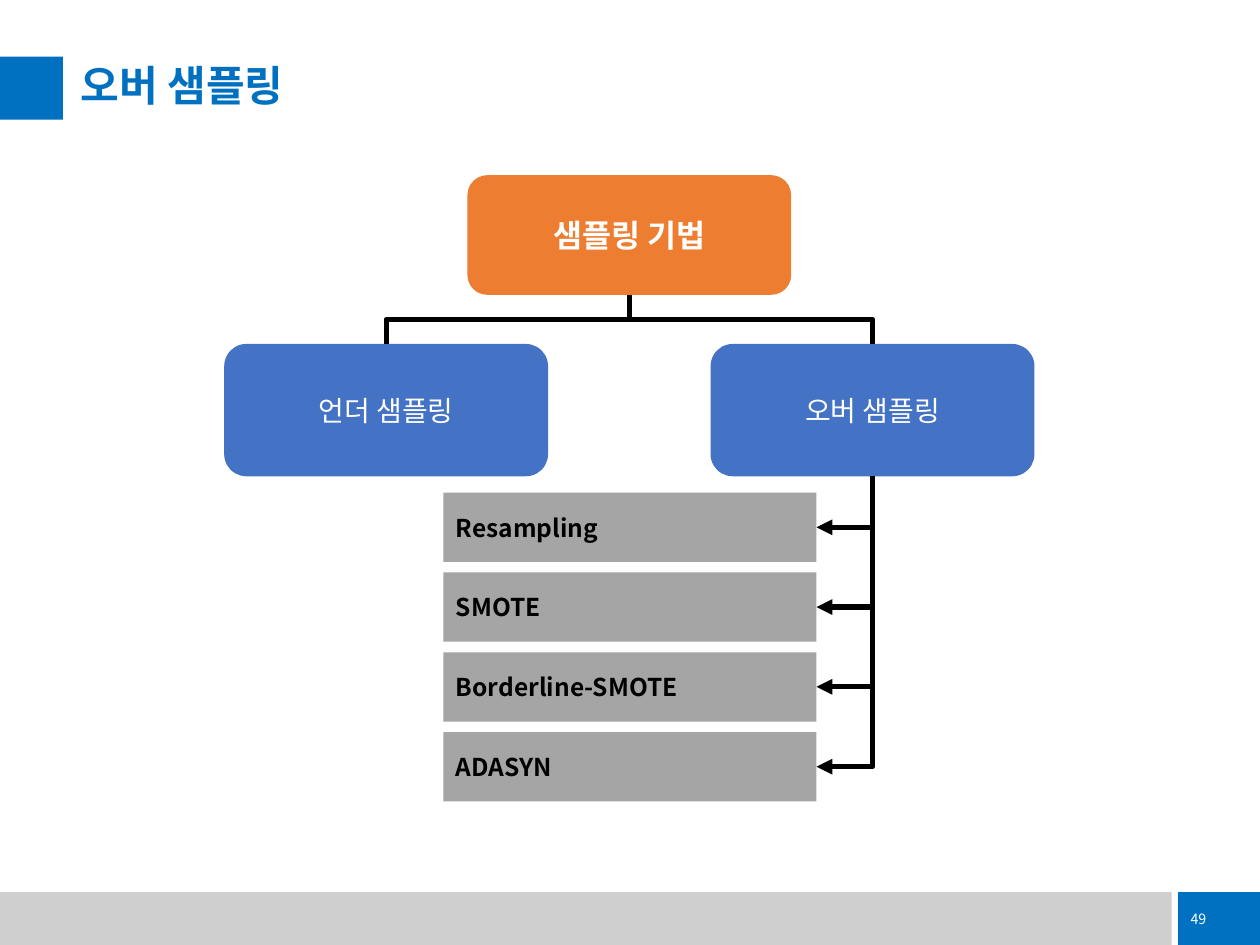
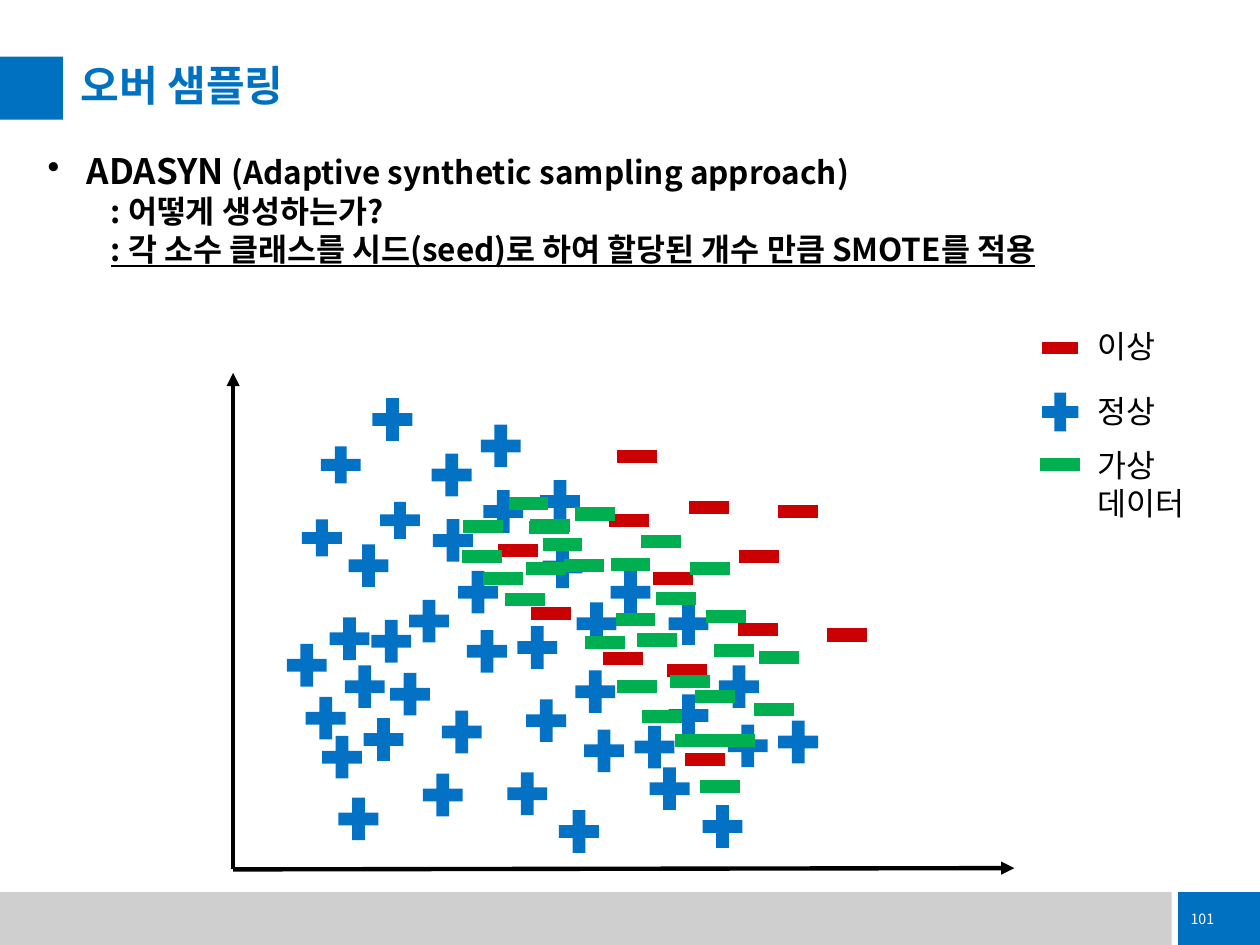
from lxml.etree import SubElement
from pptx import Presentation
from pptx.dml.color import RGBColor
from pptx.enum.shapes import MSO_CONNECTOR, MSO_SHAPE
from pptx.enum.text import MSO_ANCHOR, PP_ALIGN
from pptx.oxml.ns import qn
from pptx.util import Pt

PX = 9144  # EMU in one px, 100 px to the inch
FONT = "Noto Sans CJK KR"
COLORS = {
    "brand": "0070C0", "band": "CFCFCF", "white": "FFFFFF", "black": "000000",
    "root": "ED7D31", "branch": "4472C4", "method": "A5A5A5",
    "normal": "0472C4", "outlier": "CB0002", "synthetic": "00B050",
}
METHODS = ["Resampling", "SMOTE", "Borderline-SMOTE", "ADASYN"]
PLUS_SIZE, LOW_PLUS_SIZE, MINUS_SIZE = (43, 46), (43, 40), (43, 44)

# Left and top of each mark, relative to the plot box
NORMAL = [
    (190, 110), (237, 154), (276, 131), (323, 175), (171, 226), (238, 206),
    (219, 270), (278, 183), (258, 247), (325, 227), (305, 291), (265, 294),
    (245, 358), (156, 284), (137, 347), (204, 328), (312, 349), (351, 326),
    (398, 370), (358, 373), (338, 437), (297, 407), (183, 364), (163, 427),
    (230, 408), (150, 378), (122, 305), (189, 286), (168, 322), (425, 345),
    (465, 322), (512, 366), (472, 369), (452, 433), (410, 403), (352, 272),
    (379, 247), (425, 272),
]
NORMAL_LOW = [(149, 149), (196, 193), (134, 207)]
OUTLIER = [
    (378, 191), (481, 220), (413, 237), (551, 282), (480, 278), (512, 184),
    (441, 181), (384, 140), (290, 215), (373, 301), (438, 381), (424, 310),
    (316, 265),
]
SYNTHETIC = [
    (261, 220), (278, 237), (314, 197), (295, 254), (312, 229), (262, 196),
    (298, 178), (325, 210), (315, 195), (342, 227), (383, 270), (384, 323),
    (400, 286), (426, 319), (446, 331), (461, 294), (462, 366), (493, 341),
    (359, 288), (404, 347), (450, 402), (430, 366), (497, 300), (455, 267),
    (415, 253), (442, 229), (403, 208), (379, 226), (351, 186),
]


def rgb(name):
    return RGBColor.from_string(COLORS[name])


def emu(*lengths):
    return [round(length * PX) for length in lengths]


def add_run(p, text, size, color="black", bold=False, underline=False):
    r = p.add_run()
    r.text = text
    font = r.font
    font.name, font.size, font.bold = FONT, Pt(size), bold
    font.color.rgb = rgb(color)
    if underline:
        font.underline = True
    SubElement(font._element, qn("a:ea"), typeface=FONT)


def add_block(s, shape, box, fill):
    sp = s.shapes.add_shape(shape, *emu(*box))
    sp.shadow.inherit = False
    sp.fill.solid()
    sp.fill.fore_color.rgb = rgb(fill)
    sp.line.fill.background()
    return sp


def add_label(sp, text, size, color, bold=False, align=PP_ALIGN.CENTER, wrap=True):
    tf = sp.text_frame
    tf.word_wrap = wrap
    tf.vertical_anchor = MSO_ANCHOR.MIDDLE
    p = tf.paragraphs[0]
    p.alignment = align
    add_run(p, text, size, color, bold)


def add_text_box(s, box):
    tf = s.shapes.add_textbox(*emu(*box)).text_frame
    tf.word_wrap = True
    return tf


def add_line(s, kind, start, end, width, arrow):
    line = s.shapes.add_connector(kind, *emu(*start, *end))
    line.line.color.rgb = rgb("black")
    line.line.width = Pt(width)
    if arrow:
        SubElement(line.line._get_or_add_ln(), qn("a:tailEnd"), type="triangle")
    SubElement(line._element.spPr, qn("a:effectLst"))
    return line


def add_elbow(s, start, end, preset, arrow=False):
    """Draw a bent connector that leaves its start downwards."""
    (x1, y1), (x2, y2) = start, end
    w, h = y2 - y1, abs(x2 - x1)
    left, top = (x1 + x2 - w) / 2, (y1 + y2 - h) / 2
    line = add_line(s, MSO_CONNECTOR.ELBOW, (left, top), (left + w, top + h), 3, arrow)
    xfrm = line._element.spPr.find(qn("a:xfrm"))
    quarter_turns = 1 if x2 < x1 else 3
    xfrm.set("rot", str(quarter_turns * 90 * 60000))
    if x2 > x1:
        xfrm.set("flipH", "1")
    line._element.spPr.find(qn("a:prstGeom")).set("prst", preset)


def add_base_slide(prs, title, number):
    """Add a slide with the title, its marker and the footer bands."""
    s = prs.slides.add_slide(prs.slide_layouts[5])
    add_block(s, MSO_SHAPE.RECTANGLE, (0, 708, 930, 42), "band")
    page = add_block(s, MSO_SHAPE.RECTANGLE, (935, 708, 65, 42), "brand")
    add_label(page, number, 8.1, "white", align=PP_ALIGN.LEFT, wrap=False)
    add_block(s, MSO_SHAPE.RECTANGLE, (0, 45, 50, 50), "brand")
    ph = s.shapes.title
    ph.left, ph.top, ph.width, ph.height = emu(64, 51, 901, 38)
    tf = ph.text_frame
    tf.margin_left = tf.margin_top = tf.margin_right = tf.margin_bottom = 0
    add_label(ph, title, 24, "brand", True, PP_ALIGN.LEFT)
    tf.paragraphs[0].line_spacing = 0.9
    return s


def add_hierarchy(s, box):
    left, top, width, height = box
    node_w, root_h, branch_h, method_w, method_h = 257, 95, 105, 296, 55
    branch_top = top + 134
    branch_bottom = branch_top + branch_h
    center = left + width / 2

    root = add_block(s, MSO_SHAPE.ROUNDED_RECTANGLE,
                     (center - node_w / 2, top, node_w, root_h), "root")
    add_label(root, "샘플링 기법", 18, "white", True)
    for text, x in (("언더 샘플링", left), ("오버 샘플링", left + width - node_w)):
        branch = add_block(s, MSO_SHAPE.ROUNDED_RECTANGLE,
                           (x, branch_top, node_w, branch_h), "branch")
        add_label(branch, text, 16, "white")
        trunk = x + node_w / 2
        add_elbow(s, (center, top + root_h), (trunk, branch_top), "bentConnector3")

    method_left, first_top = left + 174, top + 252
    pitch = (top + height - method_h - first_top) / (len(METHODS) - 1)
    for i, text in enumerate(METHODS):
        y = first_top + i * pitch
        method = add_block(s, MSO_SHAPE.RECTANGLE,
                           (method_left, y, method_w, method_h), "method")
        add_label(method, text, 14, "black", True, PP_ALIGN.LEFT)
        add_elbow(s, (trunk, branch_bottom),
                  (method_left + method_w, y + method_h / 2), "bentConnector2", True)


def add_explanation(s, box):
    tf = add_text_box(s, box)
    p = tf.paragraphs[0]
    pPr = p._p.get_or_add_pPr()
    indent = 31 * PX
    pPr.set("marL", str(indent))
    pPr.set("indent", str(-indent))
    SubElement(pPr, qn("a:buChar"), char="•")
    add_run(p, "ADASYN", 20, bold=True)
    add_run(p, " (Adaptive synthetic sampling approach)", 18, bold=True)
    for text, underline in (
        (": 어떻게 생성하는가?", False),
        (": 각 소수 클래스를 시드(seed)로 하여 할당된 개수 만큼 SMOTE를 적용", True),
    ):
        p = tf.add_paragraph()
        p.level = 1
        p._p.get_or_add_pPr().set("marL", str(50 * PX))
        add_run(p, text, 18, bold=True, underline=underline)


def add_scatter(s, box):
    left, top, width, height = box
    origin = (left, top + height)
    for tip in ((left, top), (left + width, top + height - 1)):
        add_line(s, MSO_CONNECTOR.STRAIGHT, origin, tip, 2.5, True)
    plot_left, plot_top = left - 85, top - 96
    for shape, size, color, points in (
        (MSO_SHAPE.MATH_PLUS, PLUS_SIZE, "normal", NORMAL),
        (MSO_SHAPE.MATH_PLUS, LOW_PLUS_SIZE, "normal", NORMAL_LOW),
        (MSO_SHAPE.MATH_MINUS, MINUS_SIZE, "outlier", OUTLIER),
        (MSO_SHAPE.MATH_MINUS, MINUS_SIZE, "synthetic", SYNTHETIC),
    ):
        for x, y in points:
            add_block(s, shape, (plot_left + x, plot_top + y, *size), color)


def add_legend(s, box):
    left, top, width, height = box
    text_left = left + 41
    for shape, color, mark, text_top, text_h, lines in (
        (MSO_SHAPE.MATH_MINUS, "outlier", (2, 1, 39, 40), 0, 40, ["이상"]),
        (MSO_SHAPE.MATH_PLUS, "normal", (2, 51, 39, 42), 51, 40, ["정상"]),
        (MSO_SHAPE.MATH_MINUS, "synthetic", (0, 92, 43, 44), 94, height - 94,
         ["가상", "데이터"]),
    ):
        x, y, w, h = mark
        add_block(s, shape, (left + x, top + y, w, h), color)
        tf = add_text_box(s, (text_left, top + text_top, width - 41, text_h))
        for i, line in enumerate(lines):
            p = tf.add_paragraph() if i else tf.paragraphs[0]
            add_run(p, line, 18)


def main():
    prs = Presentation()
    prs.slide_width, prs.slide_height = emu(1000, 750)

    s = add_base_slide(prs, "오버 샘플링", "49")
    add_hierarchy(s, (178, 139, 643, 497))

    s = add_base_slide(prs, "오버 샘플링", "101")
    add_explanation(s, (28, 114, 890, 104))
    add_scatter(s, (185, 296, 620, 394))
    add_legend(s, (820, 255, 156, 165))

    prs.save("out.pptx")


if __name__ == "__main__":
    main()
